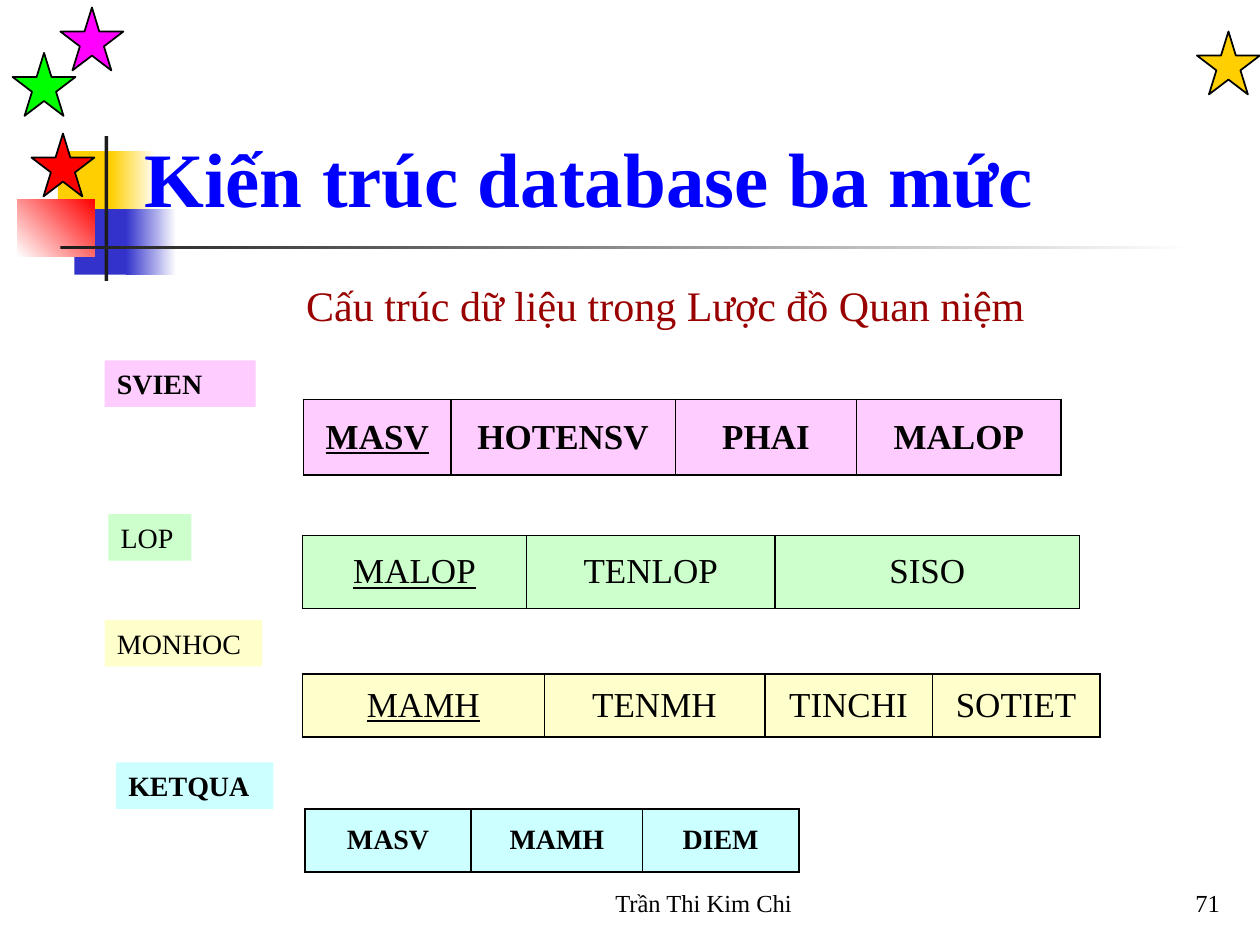
from lxml.etree import SubElement
from pptx import Presentation
from pptx.dml.color import RGBColor
from pptx.enum.shapes import MSO_SHAPE as Shape
from pptx.enum.text import MSO_ANCHOR as Anchor, PP_ALIGN as Align
from pptx.oxml.ns import qn
from pptx.util import Inches, Pt

COLORS = {
    "black": "000000", "white": "FFFFFF", "charcoal": "1C1C1C", "gold": "FFCF01",
    "indigo": "3333CC", "red": "FF0000", "green": "00FF00", "magenta": "FF00FF",
    "blue": "0000FF", "maroon": "990000", "pink": "FFCCFF", "mint": "CCFFCC",
    "cream": "FFFFCC", "cyan": "CCFFFF",
}
FONT = "Times New Roman"

HEADING = "Kiến trúc database ba mức"
SUBTITLE = "Cấu trúc dữ liệu trong Lược đồ Quan niệm"
AUTHOR = "Trần Thi Kim Chi"
PAGE_NUMBER = "71"

# (left, top, width, height), fill colours (two make a gradient), gradient angle
ORNAMENTS = [
    ((0.46, 1.2, 0.48, 0.52), ["gold"], 0),
    ((0.88, 1.2, 0.36, 0.52), ["gold", "white"], 0),
    ((0.59, 1.66, 0.46, 0.52), ["indigo"], 0),
    ((1, 1.66, 0.4, 0.52), ["indigo", "white"], 0),
    ((0.14, 1.58, 0.61, 0.46), ["white", "red"], 45),
    ((0.83, 1.08, 0.03, 1.15), ["charcoal"], 0),
    ((0.48, 1.95, 9, 0.03), ["charcoal", "white"], 0),
]
STAR_SIZE = 0.5
STARS = [(9.5, 0.25, "gold"), (0.25, 1.06, "red"), (0.1, 0.42, "green"), (0.48, 0.06, "magenta")]

# Each relation has a name label and a one-row table of (field, column width)
RELATIONS = [
    {"name": "SVIEN", "label": (0.83, 2.86, 1.2, 0.37), "color": "pink", "bold": True,
     "table": (2.41, 3.17, 0.6), "size": 20, "key": "MASV",
     "fields": [("MASV", 1.17), ("HOTENSV", 1.78), ("PHAI", 1.44), ("MALOP", 1.62)]},
    {"name": "LOP", "label": (0.86, 4.08, 0.66, 0.37), "color": "mint", "bold": False,
     "table": (2.4, 4.25, 0.58), "size": 20, "key": "MALOP",
     "fields": [("MALOP", 1.78), ("TENLOP", 1.97), ("SISO", 2.42)]},
    {"name": "MONHOC", "label": (0.83, 4.92, 1.25, 0.37), "color": "cream", "bold": False,
     "table": (2.4, 5.35, 0.5), "size": 20, "key": "MAMH",
     "fields": [("MAMH", 1.92), ("TENMH", 1.75), ("TINCHI", 1.33), ("SOTIET", 1.33)]},
    {"name": "KETQUA", "label": (0.92, 6.05, 1.25, 0.37), "color": "cyan", "bold": True,
     "table": (2.42, 6.42, 0.5), "size": 16, "key": None,
     "fields": [("MASV", 1.32), ("MAMH", 1.36), ("DIEM", 1.24)]},
]


def rgb(name):
    return RGBColor.from_string(COLORS[name])


def inches(box):
    return [Inches(length) for length in box]


def write(frame, text, size, color="black", bold=False, underline=False,
          align=Align.LEFT, anchor=Anchor.MIDDLE):
    frame.word_wrap = True
    frame.vertical_anchor = anchor
    paragraph = frame.paragraphs[0]
    paragraph.alignment = align
    run = paragraph.add_run()
    run.text = text
    font = run.font
    font.name, font.size, font.bold, font.underline = FONT, Pt(size), bold, underline
    font.color.rgb = rgb(color)


def add_text(slide, box, text, size, **text_format):
    write(slide.shapes.add_textbox(*inches(box)).text_frame, text, size, **text_format)


def add_filled(slide, kind, box, colors, angle=0, outlined=False):
    shape = slide.shapes.add_shape(kind, *inches(box))
    shape.shadow.inherit = False
    if len(colors) == 1:
        shape.fill.solid()
        shape.fill.fore_color.rgb = rgb(colors[0])
    else:
        shape.fill.gradient()
        shape.fill.gradient_angle = angle
        for position, (stop, color) in enumerate(zip(shape.fill.gradient_stops, colors)):
            stop.position = position
            stop.color.rgb = rgb(color)
    if outlined:
        shape.line.color.rgb = rgb("black")
        shape.line.width = Pt(1)
    else:
        shape.line.fill.background()
    return shape


def add_borders(cell):
    properties = cell._tc.get_or_add_tcPr()
    for side in ("lnL", "lnR", "lnT", "lnB"):
        line = SubElement(properties, qn(f"a:{side}"), w=str(Pt(1)))
        SubElement(SubElement(line, qn("a:solidFill")), qn("a:srgbClr"), val=COLORS["black"])


def add_relation(slide, relation):
    color, bold = relation["color"], relation["bold"]
    label = add_filled(slide, Shape.RECTANGLE, relation["label"], [color])
    write(label.text_frame, relation["name"], 16, bold=bold)

    fields = relation["fields"]
    left, top, height = relation["table"]
    width = sum(column_width for _, column_width in fields)
    table = slide.shapes.add_table(1, len(fields), *inches((left, top, width, height))).table
    for index, (field, column_width) in enumerate(fields):
        table.columns[index].width = Inches(column_width)
        cell = table.cell(0, index)
        add_borders(cell)
        cell.fill.solid()
        cell.fill.fore_color.rgb = rgb(color)
        cell.vertical_anchor = Anchor.MIDDLE
        write(cell.text_frame, field, relation["size"], bold=bold,
              underline=field == relation["key"], align=Align.CENTER)


def main():
    presentation = Presentation()
    presentation.slide_width, presentation.slide_height = Inches(10), Inches(7.5)
    slide = presentation.slides.add_slide(presentation.slide_layouts[5])

    for box, colors, angle in ORNAMENTS:
        add_filled(slide, Shape.RECTANGLE, box, colors, angle)
    for left, top, color in STARS:
        add_filled(slide, Shape.STAR_5_POINT, (left, top, STAR_SIZE, STAR_SIZE), [color],
                   outlined=True)

    title = slide.shapes.title
    title.left, title.top, title.width, title.height = inches((2.33, 2, 6.92, 0.83))
    write(title.text_frame, SUBTITLE, 24, color="maroon")
    add_text(slide, (1.05, 0.67, 8.95, 1.15), HEADING, 44, color="blue", bold=True,
             anchor=Anchor.BOTTOM)

    for relation in RELATIONS:
        add_relation(slide, relation)

    add_text(slide, (4, 6.83, 3.17, 0.5), AUTHOR, 14, align=Align.CENTER, anchor=Anchor.BOTTOM)
    add_text(slide, (7.7, 6.83, 2.08, 0.5), PAGE_NUMBER, 14, align=Align.RIGHT,
             anchor=Anchor.BOTTOM)
    presentation.save("out.pptx")


if __name__ == "__main__":
    main()
